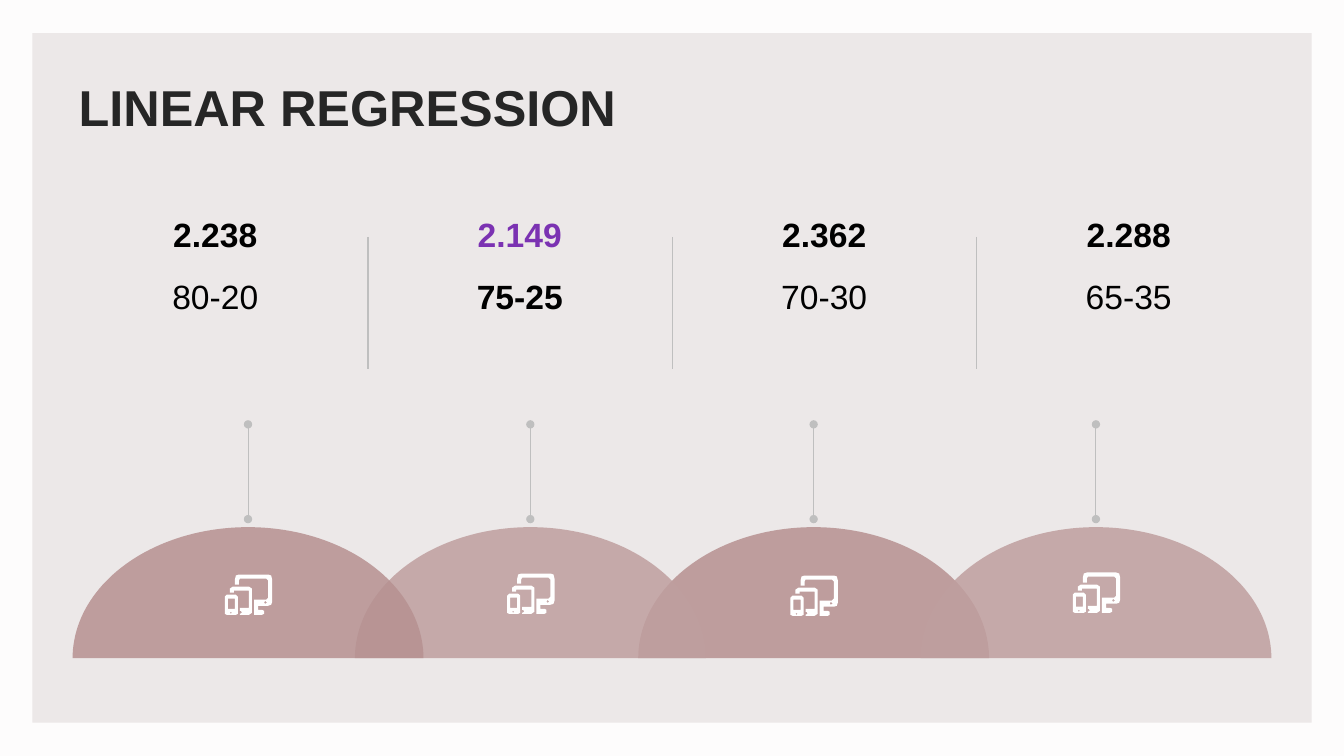
import dataclasses
import math

import lxml.etree
import pptx
import pptx.dml.color
import pptx.enum.shapes
import pptx.enum.text
import pptx.oxml.ns
import pptx.util

PX = 9144
COLUMN_PITCH = 302
DOME_PITCH = 280.33
DOME_BASE = 653
ANCHOR = pptx.enum.text.MSO_ANCHOR
ALIGN = pptx.enum.text.PP_ALIGN


@dataclasses.dataclass(frozen=True)
class Theme:
    """Colours, font and type sizes of the slide."""
    font: str = "Arial"
    page: str = "FDFCFC"
    card: str = "ECE8E8"
    title: str = "262626"
    text: str = "000000"
    best: str = "7B32B2"
    rule: str = "BFBFBF"
    icon: str = "FFFFFF"
    domes: tuple = ("B69191", "BF9F9F")
    title_size: int = 36
    text_size: int = 24
    rule_width: float = 0.75


THEME = Theme()

RESULTS = [
    ("2.238", "80-20", False),
    ("2.149", "75-25", True),
    ("2.362", "70-30", False),
    ("2.288", "65-35", False),
]
ICON_TOPS = [570, 569, 571, 568]
DOME_ORDER = [2, 1, 0, 3]

PHONE = [(2, 20), (11, 20), (13, 22), (13, 39), (11, 40), (2, 40), (0, 39), (0, 22)]
PHONE_SCREEN = [(3, 24), (3, 34), (10, 34), (10, 24)]
PHONE_BUTTON = [(6, 37), (5, 38), (6, 39), (7, 38)]
TABLET = [
    (8, 12), (24, 12), (27, 14), (27, 38), (24, 40), (15, 40), (15, 39), (17, 38),
    (16, 36), (15, 36), (15, 33), (24, 33), (24, 16), (9, 16), (9, 18), (5, 18), (5, 14),
]
MONITOR = [
    (14, 0), (43, 0), (46, 1), (47, 5), (47, 27), (46, 30), (43, 31), (33, 31), (33, 35),
    (37, 35), (39, 36), (39, 39), (37, 40), (29, 40), (29, 25), (41, 25), (43, 23),
    (43, 6), (41, 4), (15, 4), (14, 6), (14, 10), (10, 10), (10, 5), (11, 1),
]
MONITOR_LIGHT = [(40, 26), (39, 28), (40, 29), (42, 28)]
DEVICES = [PHONE, PHONE_SCREEN, PHONE_BUTTON, TABLET, MONITOR, MONITOR_LIGHT]


def px(length):
    """Turn px into EMU."""
    return pptx.util.Emu(round(length * PX))


def rgb(code):
    """Turn a hex code into a colour."""
    return pptx.dml.color.RGBColor.from_string(code)


def apply(target, values):
    """Set every attribute named in a dict of format values."""
    for name, value in values.items():
        setattr(target, name, value)


def add_xml(parent, tag, **attributes):
    """Append a DrawingML element."""
    return lxml.etree.SubElement(parent, pptx.oxml.ns.qn(tag), attributes)


def paint(shape, color, opacity=100):
    """Give a shape a plain fill without line or shadow."""
    shape.shadow.inherit = False
    shape.fill.solid()
    shape.fill.fore_color.rgb = rgb(color)
    shape.line.fill.background()
    if opacity < 100:
        fill = shape.element.spPr.find(pptx.oxml.ns.qn("a:solidFill"))
        add_xml(fill[0], "a:alpha", val=str(opacity * 1000))


def write(box, text, color, size, bold, frame_format, para_format):
    """Write one formatted paragraph into a box."""
    frame = box.text_frame
    apply(frame, {"word_wrap": True, "auto_size": pptx.enum.text.MSO_AUTO_SIZE.NONE})
    apply(frame, frame_format)
    para = frame.paragraphs[0]
    apply(para, para_format)
    span = para.add_run()
    span.text = text
    apply(span.font, {"name": THEME.font, "size": pptx.util.Pt(size), "bold": bold})
    span.font.color.rgb = rgb(color)


def add_label(page, left, top, height, text, color, bold, anchor, spacing):
    """Add centred text in a result column."""
    box = page.shapes.add_textbox(px(left), px(top), px(283), px(height))
    write(box, text, color, THEME.text_size, bold, {"vertical_anchor": anchor},
          {"alignment": ALIGN.CENTER, "line_spacing": spacing})


def add_rule(page, x, start, end, dotted=False):
    """Add a vertical line, with round ends if dotted."""
    rule = page.shapes.add_connector(
        pptx.enum.shapes.MSO_CONNECTOR.STRAIGHT, px(x), px(start), px(x), px(end))
    rule.line.color.rgb = rgb(THEME.rule)
    rule.line.width = pptx.util.Pt(THEME.rule_width)
    if dotted:
        for tag in ("a:headEnd", "a:tailEnd"):
            add_xml(rule.line._get_or_add_ln(), tag, type="oval")
    add_xml(rule.element.spPr, "a:effectLst")


def add_outline(page, left, top, contours, color, opacity=100):
    """Add a filled freeform made of closed contours."""
    builder = None
    for contour in contours:
        points = [(px(left + x), px(top + y)) for x, y in contour]
        if builder is None:
            builder = page.shapes.build_freeform(*points[0], scale=1.0)
        else:
            builder.move_to(*points[0])
        builder.add_line_segments(points[1:], close=True)
    paint(builder.convert_to_shape(), color, opacity)


def add_dome(page, center, color):
    """Add a translucent half ellipse."""
    steps = 90
    angles = [math.pi * step / steps for step in range(steps + 1)]
    arc = [(-174 * math.cos(angle), -130 * math.sin(angle)) for angle in angles]
    add_outline(page, center, DOME_BASE, [arc], color, 85)


def add_title(page, text):
    """Place the card and the title on top of it."""
    card = page.shapes.add_shape(
        pptx.enum.shapes.MSO_SHAPE.RECTANGLE, px(32), px(33), px(1269), px(684))
    paint(card, THEME.card)
    title = page.shapes.title
    apply(title, {"left": px(67), "top": px(67), "width": px(1200), "height": px(77)})
    title.element.addprevious(card.element)
    write(title, text, THEME.title, THEME.title_size, True,
          {"vertical_anchor": ANCHOR.MIDDLE, "margin_left": px(11), "margin_right": px(8),
           "margin_top": px(4), "margin_bottom": px(4)},
          {"alignment": ALIGN.LEFT})


def main():
    """Build the slide and save it."""
    deck = pptx.Presentation()
    apply(deck, {"slide_width": px(1333), "slide_height": px(750)})
    page = deck.slides.add_slide(deck.slide_layouts[5])
    page.background.fill.solid()
    page.background.fill.fore_color.rgb = rgb(THEME.page)
    add_title(page, "LINEAR REGRESSION")

    for column, (score, split, best) in enumerate(RESULTS):
        left = 72 + column * COLUMN_PITCH
        add_label(page, left, 257, 129, split, THEME.text, best, ANCHOR.TOP, 1.3)
        add_label(page, left, 199, 58, score, THEME.best if best else THEME.text,
                  True, ANCHOR.BOTTOM, 1.0)
    for gap in range(len(RESULTS) - 1):
        add_rule(page, 365 + gap * COLUMN_PITCH, 235, 366)

    centers = [round(246 + column * DOME_PITCH) for column in range(len(RESULTS))]
    for column in DOME_ORDER:
        add_dome(page, centers[column], THEME.domes[column % 2])
    for center, icon_top in zip(centers, ICON_TOPS):
        add_rule(page, center, 515, 421, dotted=True)
        add_outline(page, center - 23, icon_top, DEVICES, THEME.icon)
    deck.save("out.pptx")


if __name__ == "__main__":
    main()
